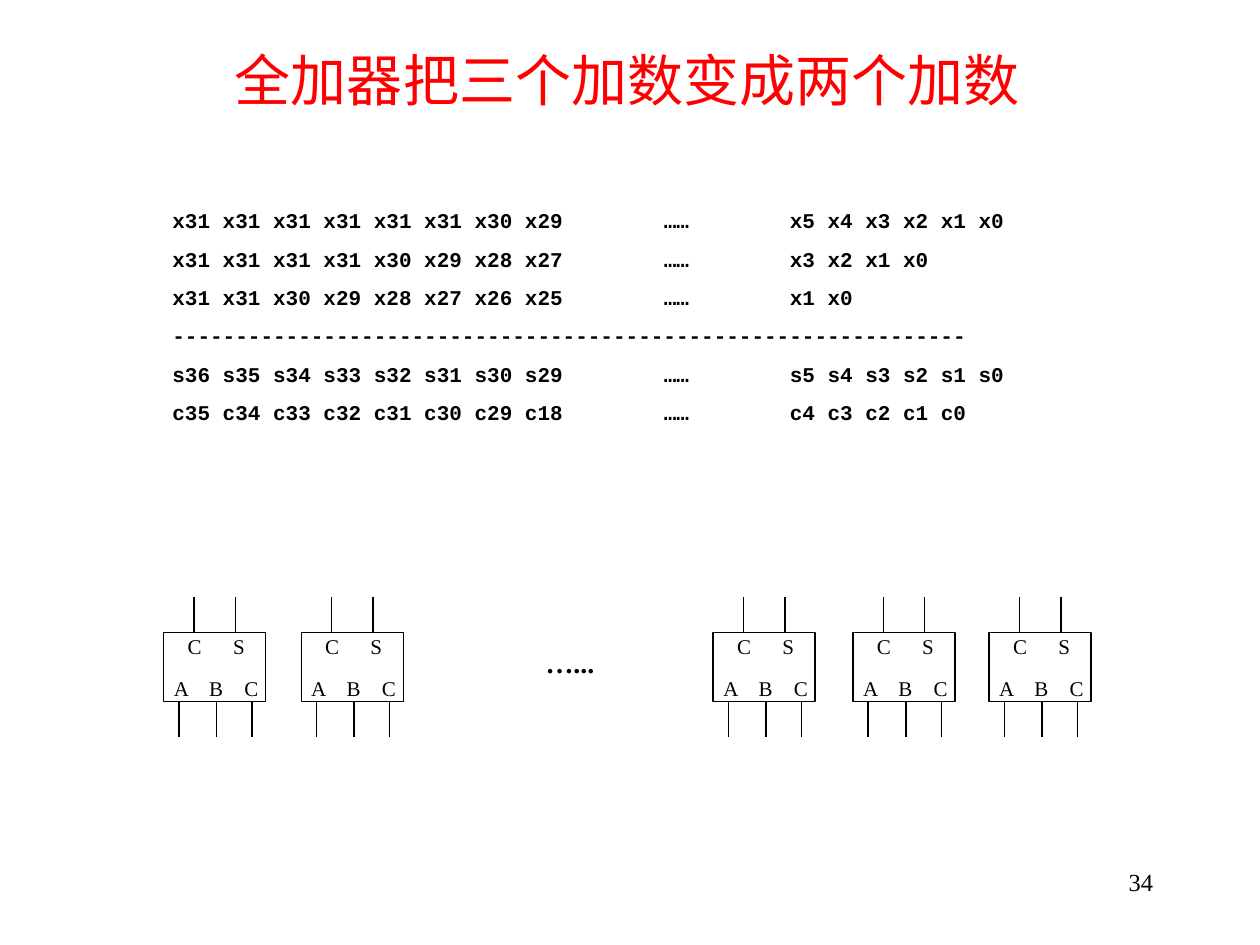
from lxml.etree import SubElement
from pptx import Presentation
from pptx.dml.color import RGBColor
from pptx.enum.shapes import MSO_CONNECTOR, MSO_SHAPE
from pptx.enum.text import MSO_ANCHOR, MSO_AUTO_SIZE, PP_ALIGN
from pptx.oxml.ns import qn
from pptx.util import Inches, Pt

COLORS = {
    "ink": RGBColor.from_string("000000"),
    "paper": RGBColor.from_string("FFFFFF"),
    "title": RGBColor.from_string("FF0000"),
}


def write(box, lines, size, font="Times New Roman", color="ink", bold=False,
          align=PP_ALIGN.LEFT, before=0, margins=(0, 0), tabs=()):
    """Fill a text shape with one paragraph per line; tabs are in inches."""
    frame = box.text_frame
    frame.word_wrap = True
    frame.auto_size = MSO_AUTO_SIZE.NONE
    frame.margin_left = frame.margin_right = Inches(margins[0])
    frame.margin_top = frame.margin_bottom = Inches(margins[1])
    for index, line in enumerate(lines):
        para = frame.add_paragraph() if index else frame.paragraphs[0]
        para.alignment = align
        para.space_before = Pt(before)
        if tabs:
            stops = SubElement(para._p.get_or_add_pPr(), qn("a:tabLst"))
            for stop in tabs:
                SubElement(stops, qn("a:tab"), pos=str(Inches(stop)), algn="l")
        span = para.add_run()
        span.text = line
        span.font.size = Pt(size)
        span.font.name = font
        span.font.bold = bold
        span.font.color.rgb = COLORS[color]


def add_wire(shapes, x, top, bottom):
    wire = shapes.add_connector(MSO_CONNECTOR.STRAIGHT, Inches(x), Inches(top),
                                Inches(x), Inches(bottom))
    wire.line.color.rgb = COLORS["ink"]
    wire.line.width = Pt(0.75)
    SubElement(wire._element.spPr, qn("a:effectLst"))


deck = Presentation()
deck.slide_width, deck.slide_height = Inches(10), Inches(7.5)
page = deck.slides.add_slide(deck.slide_layouts[5])

# Title
title = page.shapes.title
title.left, title.top = Inches(0.73), Inches(0)
title.width, title.height = Inches(8.5), Inches(1.25)
write(title, ["全加器把三个加数变成两个加数"], 32, font="Arial", color="title",
      align=PP_ALIGN.CENTER, margins=(0.1, 0.05))
title.text_frame.vertical_anchor = MSO_ANCHOR.MIDDLE

# Three addends above the rule, sum and carry below it
sums = page.shapes.add_textbox(Inches(1.27), Inches(1.6), Inches(7.33), Inches(1.82))
write(sums, [
    "x31 x31 x31 x31 x31 x31 x30 x29\t……\tx5 x4 x3 x2 x1 x0",
    "x31 x31 x31 x31 x30 x29 x28 x27\t……\tx3 x2 x1 x0",
    "x31 x31 x30 x29 x28 x27 x26 x25\t……\tx1 x0",
    "-" * 63,
    "s36 s35 s34 s33 s32 s31 s30 s29\t……\ts5 s4 s3 s2 s1 s0",
    "c35 c34 c33 c32 c31 c30 c29 c18\t……\tc4 c3 c2 c1 c0",
], 12, font="Courier New", bold=True, before=7.5, margins=(0.1, 0.05), tabs=(3.9, 4.9))

# Row of full adders
ADDER_TOP, ADDER_WIDTH, ADDER_HEIGHT, WIRE = 5.02, 0.81, 0.55, 0.28
ADDER_BOTTOM = ADDER_TOP + ADDER_HEIGHT
for left in (1.3, 2.39, 5.66, 6.77, 7.85):
    adder = page.shapes.add_group_shape().shapes
    body = adder.add_shape(MSO_SHAPE.RECTANGLE, Inches(left), Inches(ADDER_TOP),
                           Inches(ADDER_WIDTH), Inches(ADDER_HEIGHT))
    body.shadow.inherit = False
    body.fill.solid()
    body.fill.fore_color.rgb = COLORS["paper"]
    body.line.color.rgb = COLORS["ink"]
    body.line.width = Pt(0.75)

    inputs = adder.add_textbox(Inches(left + 0.08), Inches(5.36), Inches(0.72), Inches(0.2))
    write(inputs, ["A\tB\tC"], 12, tabs=(0.28, 0.56))
    outputs = adder.add_textbox(Inches(left + 0.19), Inches(5.03), Inches(0.5), Inches(0.2))
    write(outputs, ["C\tS"], 12, tabs=(0.36,))

    for offset in (0.12, 0.42, 0.7):
        add_wire(adder, left + offset, ADDER_BOTTOM, ADDER_BOTTOM + WIRE)
    for offset in (0.24, 0.57):
        add_wire(adder, left + offset, ADDER_TOP - WIRE, ADDER_TOP)

dots = page.shapes.add_textbox(Inches(4.33), Inches(5.12), Inches(0.42), Inches(0.27))
write(dots, ["…..."], 16, bold=True)

# Page number
number = page.shapes.add_textbox(Inches(7.17), Inches(6.83), Inches(2.08), Inches(0.5))
write(number, ["34"], 14, align=PP_ALIGN.RIGHT, margins=(0.1, 0.05))

deck.save("out.pptx")
